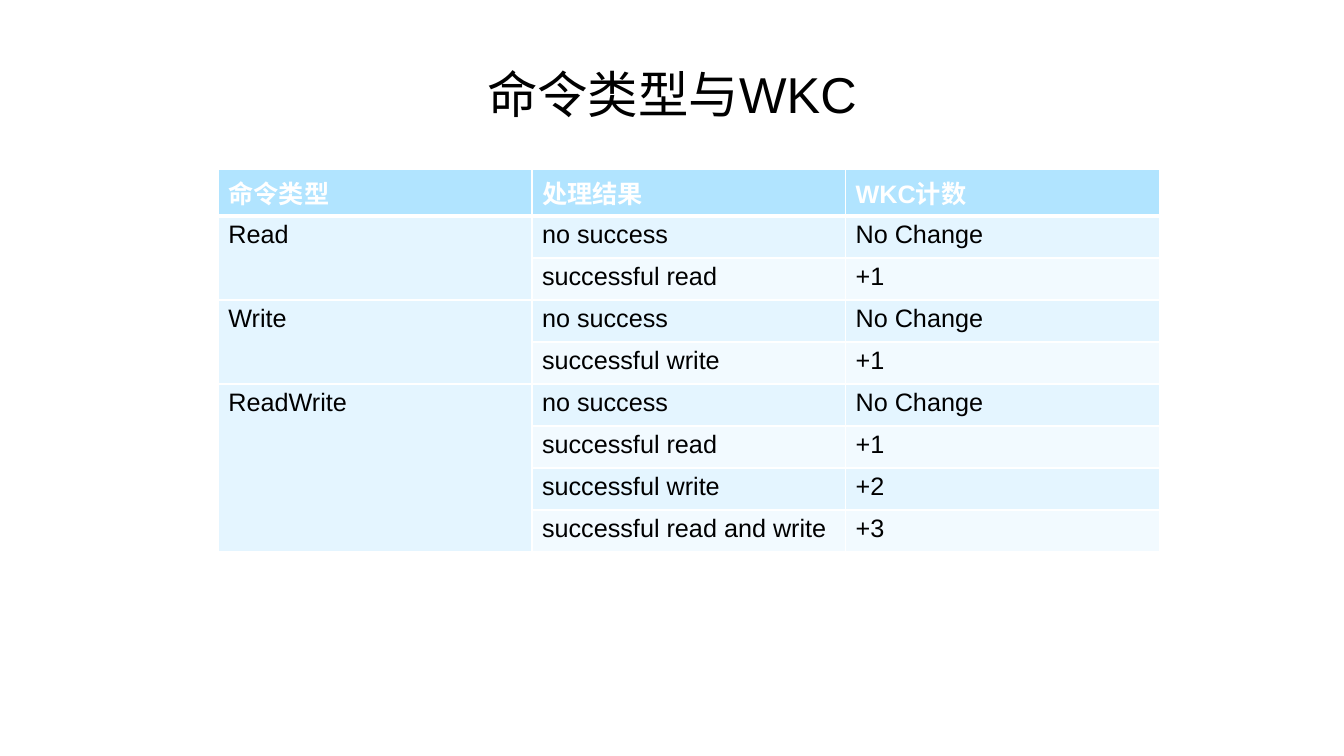
from lxml import etree
from pptx import Presentation
from pptx.dml.color import RGBColor
from pptx.enum import text
from pptx.oxml import ns
from pptx.util import Pt

FONT = "Arial"
BLACK, WHITE = "000000", "FFFFFF"
HEADER_FILL, BANDS = "B1E4FF", ("E4F5FF", "F2FAFF")
COLUMN_WIDTH, ROW_HEIGHT = 224, 30

HEADERS = ("命令类型", "处理结果", "WKC计数")
COMMANDS = {
    "Read": [("no success", "No Change"), ("successful read", "+1")],
    "Write": [("no success", "No Change"), ("successful write", "+1")],
    "ReadWrite": [
        ("no success", "No Change"),
        ("successful read", "+1"),
        ("successful write", "+2"),
        ("successful read and write", "+3"),
    ],
}


def rgb(value):
    return RGBColor.from_string(value)


def add_run(p, words, size, color, bold=False):
    r = p.add_run()
    r.text = words
    r.font.name = FONT
    r.font.size = Pt(size)
    r.font.bold = bold
    r.font.color.rgb = rgb(color)


def set_borders(cell, bottom):
    tc_pr = cell._tc.get_or_add_tcPr()
    for side, width in (("L", 1), ("R", 1), ("T", 1), ("B", bottom)):
        line = etree.SubElement(tc_pr, ns.qn(f"a:ln{side}"), w=str(Pt(width)))
        fill = etree.SubElement(line, ns.qn("a:solidFill"))
        etree.SubElement(fill, ns.qn("a:srgbClr"), val=WHITE)


def style_cell(cell, fill, bottom=1):
    set_borders(cell, bottom)
    cell.fill.solid()
    cell.fill.fore_color.rgb = rgb(fill)


def set_title(s, words):
    title = s.shapes.title
    title.left, title.top, title.width, title.height = Pt(48), Pt(21.6), Pt(864), Pt(90)
    tf = title.text_frame
    tf.vertical_anchor = text.MSO_ANCHOR.MIDDLE
    p = tf.paragraphs[0]
    p.alignment = text.PP_ALIGN.CENTER
    add_run(p, words, 36, BLACK)


def add_command_table(s, left, top):
    rows = 1 + sum(len(results) for results in COMMANDS.values())
    cols = len(HEADERS)
    table = s.shapes.add_table(
        rows, cols, Pt(left), Pt(top), Pt(cols * COLUMN_WIDTH), Pt(rows * ROW_HEIGHT)
    ).table

    # Header row, with a heavier rule below
    for col, words in enumerate(HEADERS):
        cell = table.cell(0, col)
        style_cell(cell, HEADER_FILL, bottom=3)
        add_run(cell.text_frame.paragraphs[0], words, 18, WHITE, bold=True)

    # Banded results, with one merged cell per command
    row = 1
    for command, results in COMMANDS.items():
        first = row
        for result in results:
            values = (command if row == first else "", *result)
            for col, words in enumerate(values):
                cell = table.cell(row, col)
                style_cell(cell, BANDS[(row - 1) % 2])
                if words:
                    add_run(cell.text_frame.paragraphs[0], words, 18, BLACK)
            row += 1
        table.cell(first, 0).merge(table.cell(row - 1, 0))


def main():
    prs = Presentation()
    prs.slide_width, prs.slide_height = Pt(960), Pt(540)
    s = prs.slides.add_slide(prs.slide_layouts[5])
    set_title(s, "命令类型与WKC")
    add_command_table(s, 156, 121)
    prs.save("out.pptx")


if __name__ == "__main__":
    main()
